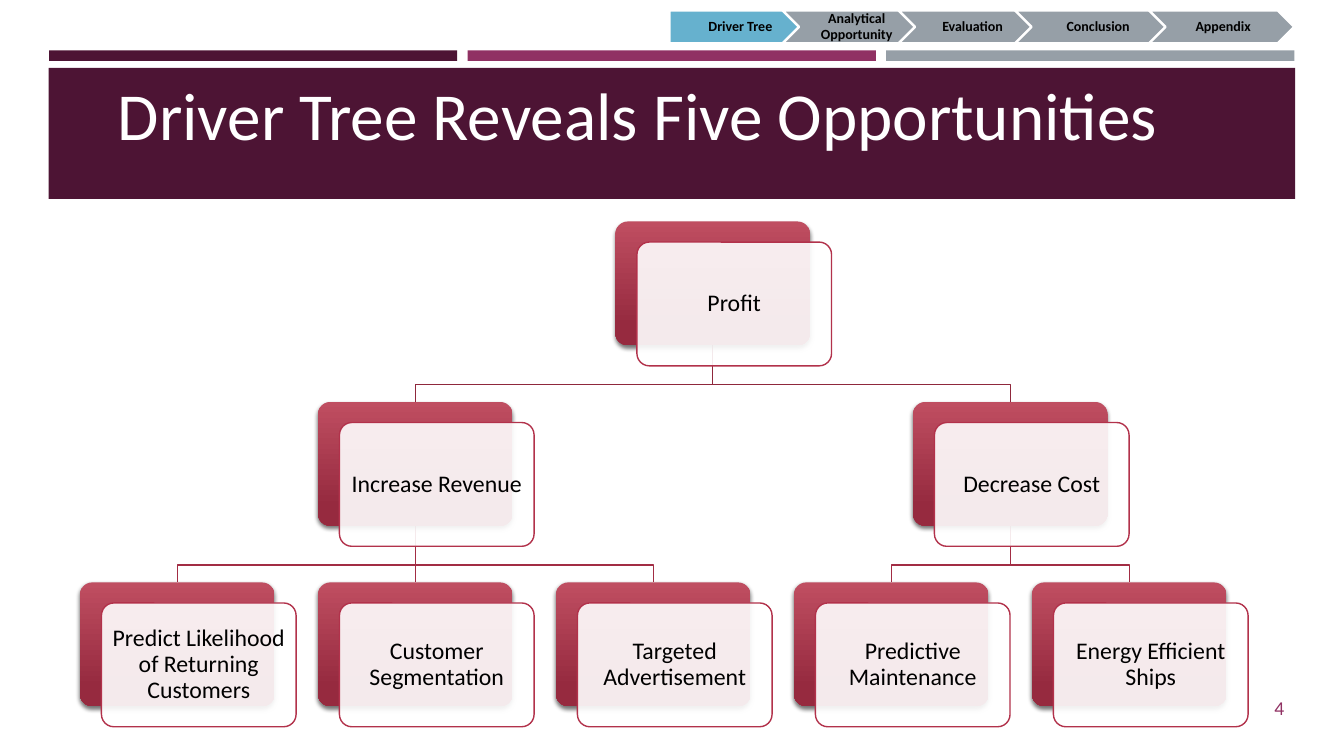
from lxml import etree
from pptx import Presentation
from pptx.dml.color import RGBColor
from pptx.enum.shapes import MSO_CONNECTOR, MSO_SHAPE as SHAPE
from pptx.enum.text import MSO_ANCHOR as ANCHOR, MSO_AUTO_SIZE, PP_ALIGN as ALIGN
from pptx.oxml.ns import qn
from pptx.util import Pt

PLUM = RGBColor(0x4D, 0x14, 0x34)
MAGENTA = RGBColor(0x90, 0x31, 0x63)
GREY = RGBColor(0x96, 0x9F, 0xA7)
SKY = RGBColor(0x66, 0xB1, 0xCE)
RED_TOP = RGBColor(0xBF, 0x4E, 0x61)
RED_BOTTOM = RGBColor(0x96, 0x2A, 0x3F)
RED_EDGE = RGBColor(0xB2, 0x32, 0x4B)
LINK_UPPER = RGBColor(0x8F, 0x28, 0x3C)
LINK_LOWER = RGBColor(0xA2, 0x2D, 0x44)
WHITE = RGBColor(0xFF, 0xFF, 0xFF)
BLACK = RGBColor(0, 0, 0)

# Tree grid: column is counted in leaf cards, row from the top
TREE_LEFT, TREE_TOP = 57.1, 158.2
COL_STEP, ROW_STEP = 170, 128.9
CARD_W, CARD_H = 139, 88.4
SHIFT_X, SHIFT_Y = 15.4, 14.7
BUS_DROP = 28.1

# Tree nodes: label, column, row, parent
NODES = [
    ("Profit", 2.25, 0, None),
    ("Increase Revenue", 1, 1, "Profit"),
    ("Predict Likelihood of Returning Customers", 0, 2, "Increase Revenue"),
    ("Customer Segmentation", 1, 2, "Increase Revenue"),
    ("Targeted Advertisement", 2, 2, "Increase Revenue"),
    ("Decrease Cost", 3.5, 1, "Profit"),
    ("Predictive Maintenance", 3, 2, "Decrease Cost"),
    ("Energy Efficient Ships", 4, 2, "Decrease Cost"),
]

# Progress steps: label, left, width
STEPS = [
    ("Driver Tree", 478.2, 103.7),
    ("Analytical Opportunity", 559, 103.7),
    ("Evaluation", 641.8, 103.7),
    ("Conclusion", 725, 116.6),
    ("Appendix", 820.8, 103.7),
]


class Deck:
    font = "Calibri"

    def __init__(self, width, height):
        self.prs = Presentation()
        self.prs.slide_width, self.prs.slide_height = Pt(width), Pt(height)
        self.s = self.prs.slides.add_slide(self.prs.slide_layouts[5])

    def set_text(self, sp, text, size, color, align=ALIGN.CENTER,
                 anchor=ANCHOR.MIDDLE, bold=False, spacing=None, insets=None):
        tf = sp.text_frame
        tf.word_wrap = True
        tf.vertical_anchor = anchor
        if insets:
            (tf.margin_left, tf.margin_top,
             tf.margin_right, tf.margin_bottom) = map(Pt, insets)
        p = tf.paragraphs[0]
        p.text = text
        p.alignment = align
        p.line_spacing = spacing
        p.font.name, p.font.size, p.font.bold = self.font, Pt(size), bold
        p.font.color.rgb = color

    def title(self, text, x, y, w, h):
        sp = self.s.shapes.title
        sp.left, sp.top, sp.width, sp.height = map(Pt, (x, y, w, h))
        self.set_text(sp, text, 48, WHITE, ALIGN.LEFT, ANCHOR.TOP)
        sp.text_frame.auto_size = MSO_AUTO_SIZE.SHAPE_TO_FIT_TEXT
        self.s.shapes._spTree.append(sp._element)  # in front of its band

    def shape(self, kind, x, y, w, h, fill=None, line=None, weight=1):
        sp = self.s.shapes.add_shape(kind, Pt(x), Pt(y), Pt(w), Pt(h))
        sp.shadow.inherit = False
        if fill is not None:
            sp.fill.solid()
            sp.fill.fore_color.rgb = fill
        if line is None:
            sp.line.fill.background()
        else:
            sp.line.color.rgb = line
            sp.line.width = Pt(weight)
        return sp

    def label(self, text, x, y, w, h, size, color, align):
        sp = self.s.shapes.add_textbox(Pt(x), Pt(y), Pt(w), Pt(h))
        self.set_text(sp, text, size, color, align)

    def step(self, text, x, w, current):
        kind, fill = (SHAPE.PENTAGON, SKY) if current else (SHAPE.CHEVRON, GREY)
        sp = self.shape(kind, x, 7.4, w, 23.6, fill, WHITE, 1.75)
        left = 4.3 if current else 2.9
        self.set_text(sp, text, 10, BLACK, bold=True, spacing=0.9,
                      insets=(left, 2, 0.7, 2))

    def link(self, start, end, color):
        (x1, y1), (x2, y2) = start, end
        if x1 == x2:
            sp = self.s.shapes.add_connector(
                MSO_CONNECTOR.STRAIGHT, Pt(x1), Pt(y1), Pt(x2), Pt(y2))
            etree.SubElement(sp._element.spPr, qn("a:effectLst"))
        else:
            bus = y1 + BUS_DROP
            builder = self.s.shapes.build_freeform(Pt(x1), Pt(y1))
            corners = [(x1, bus), (x2, bus), (x2, y2)]
            builder.add_line_segments(
                [(Pt(x), Pt(y)) for x, y in corners], close=False)
            sp = builder.convert_to_shape()
            sp.fill.background()
            sp.shadow.inherit = False
        sp.line.color.rgb = color
        sp.line.width = Pt(1)

    def card(self, text, x, y):
        # Red card with a soft shadow
        back = self.shape(SHAPE.ROUNDED_RECTANGLE, x, y, CARD_W, CARD_H)
        back.adjustments[0] = 0.1
        back.fill.gradient()
        back.fill.gradient_angle = 270
        for stop, color, pos in zip(back.fill.gradient_stops,
                                    (RED_TOP, RED_BOTTOM), (0, 0.84)):
            stop.color.rgb, stop.position = color, pos
        effects = back._element.spPr.find(qn("a:effectLst"))
        shadow = etree.SubElement(
            effects, qn("a:outerShdw"), blurRad=str(Pt(3)), dist=str(Pt(2)),
            dir="5400000", algn="ctr", rotWithShape="0")
        black = etree.SubElement(shadow, qn("a:srgbClr"), val=str(BLACK))
        etree.SubElement(black, qn("a:alpha"), val="55000")

        # Translucent white card with the label
        front = self.shape(SHAPE.ROUNDED_RECTANGLE, x + SHIFT_X, y + SHIFT_Y,
                           CARD_W, CARD_H, WHITE, RED_EDGE)
        front.adjustments[0] = 0.1
        white = front._element.spPr.find(qn("a:solidFill"))[0]
        etree.SubElement(white, qn("a:alpha"), val="90000")
        self.set_text(front, text, 17, BLACK, spacing=0.9, insets=(4.5,) * 4)


def main():
    deck = Deck(960, 540)

    # Header bars and title band
    for i, color in enumerate((PLUM, MAGENTA, GREY)):
        deck.shape(SHAPE.RECTANGLE, 35 + 299 * i, 36, 291.6, 7.5, color)
    deck.shape(SHAPE.RECTANGLE, 34.8, 48.5, 890.4, 93.6, PLUM)
    deck.title("Driver Tree Reveals Five Opportunities", 77, 49, 814.3, 65.5)

    # Progress steps
    for i, (text, x, w) in enumerate(STEPS):
        deck.step(text, x, w, current=i == 0)

    # Driver tree: links behind cards
    spots = {text: (TREE_LEFT + col * COL_STEP, TREE_TOP + row * ROW_STEP)
             for text, col, row, _ in NODES}
    for text, _, row, parent in NODES:
        if parent:
            (px, py), (x, y) = spots[parent], spots[text]
            deck.link((px + CARD_W / 2, py + CARD_H), (x + CARD_W / 2, y),
                      LINK_UPPER if row == 1 else LINK_LOWER)
    for text, (x, y) in spots.items():
        deck.card(text, x, y)

    # Slide number
    deck.label("4", 841.7, 491, 82.8, 28.8, 14, MAGENTA, ALIGN.RIGHT)

    deck.prs.save("out.pptx")


if __name__ == "__main__":
    main()
